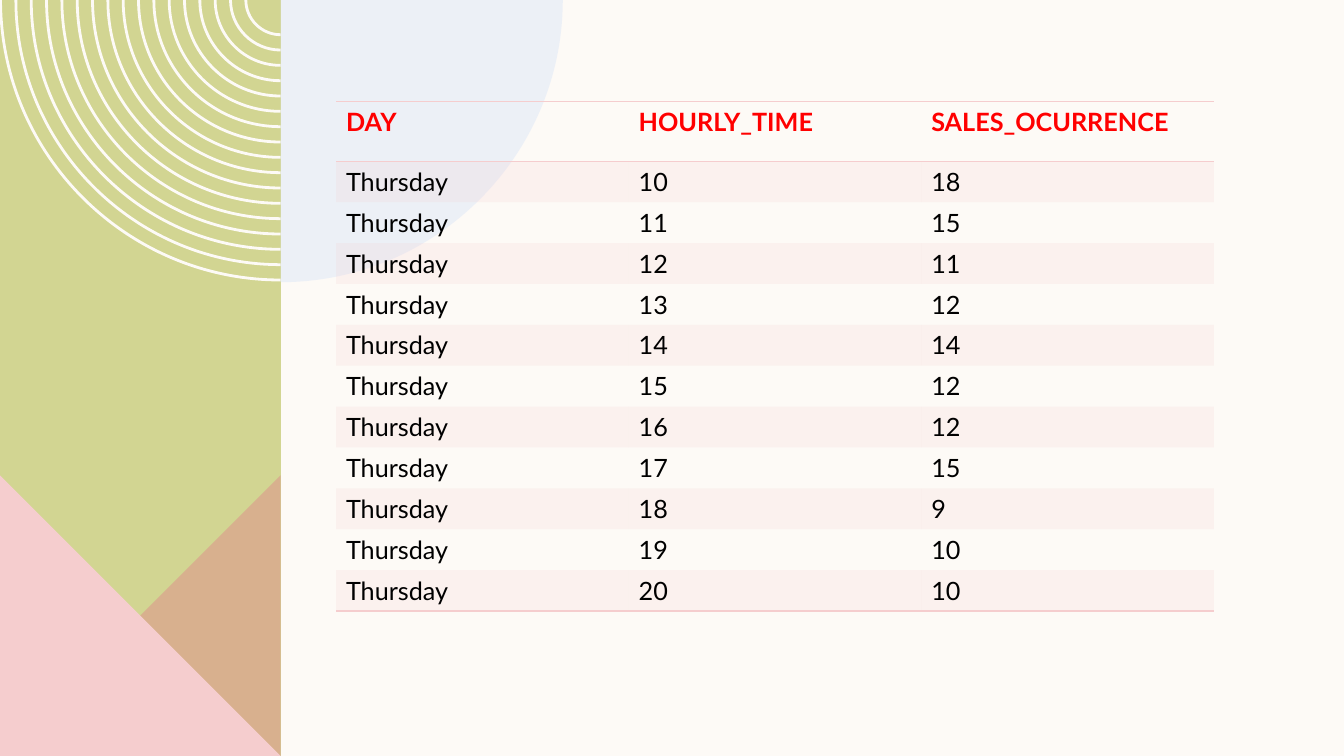
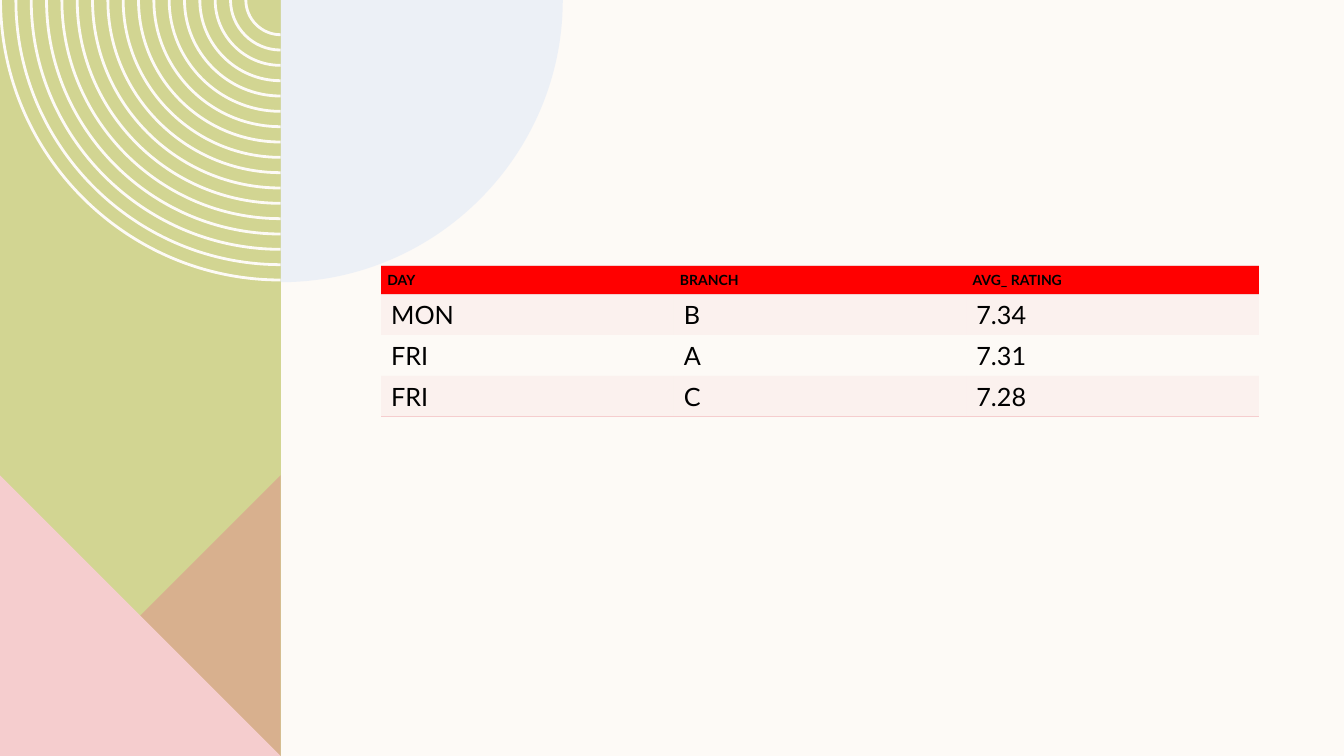
from lxml import etree
from pptx import Presentation
from pptx.dml.color import RGBColor
from pptx.enum import text
from pptx.oxml import ns
from pptx.util import Pt

# Content
HOURLY_SALES = [(10, 18), (11, 15), (12, 11), (13, 12), (14, 14), (15, 12),
                (16, 12), (17, 15), (18, 9), (19, 10), (20, 10)]
TABLES = [
    {
        "header": ("DAY", "HOURLY_TIME", "SALES_OCURRENCE"),
        "rows": [("Thursday", hour, sales) for hour, sales in HOURLY_SALES],
        "left": 240, "top": 72.7, "header_height": 42.5,
        "header_size": 18, "header_color": "red", "header_fill": None,
        "header_anchor": text.MSO_ANCHOR.TOP, "header_margins": (7.2, 3.6),
    },
    {
        "header": ("DAY", "BRANCH", "AVG_ RATING"),
        "rows": [("MON", "B", "7.34"), ("FRI", "A", "7.31"), ("FRI", "C", "7.28")],
        "left": 272.2, "top": 189.5, "header_height": 20.6,
        "header_size": 10, "header_color": "black", "header_fill": "red",
        "header_anchor": text.MSO_ANCHOR.MIDDLE, "header_margins": (4.5, 2.25),
    },
]

# Shared style
COLORS = {"cream": "FDFAF6", "green": "D2D592", "rose": "DE8C8C", "pink": "F5CDCE",
          "blue": "DDE7F6", "red": "FF0000", "black": "000000"}
FONT = "Lato"
NO_TABLE_STYLE = "{2D5ABB26-0587-4C30-8999-92F81FD0307C}"
SLIDE_WIDTH, SLIDE_HEIGHT = 960, 540
PANEL_WIDTH = 200.4
TRIANGLE_TOP = 339.5
DISC_RADIUS = 201.6
RING_COUNT, RING_RADIUS, RING_STEP, RING_WIDTH = 17, 201, 10.95, 2
QUARTER_ARC = 0.55  # handle length of a quarter circle, as a share of its radius
COLUMN_WIDTH, ROW_HEIGHT, BODY_SIZE = 209, 29.2, 18


def set_fill(fill, color, opacity=100):
    fill.solid()
    fill.fore_color.rgb = RGBColor.from_string(COLORS[color])
    if opacity < 100:
        srgb = fill._xPr.find(ns.qn("a:solidFill"))[0]
        etree.SubElement(srgb, ns.qn("a:alpha"), val=str(opacity * 1000))


def bend(shape, point_count, curved):
    """Turn the sides that end at the curved points into quarter circles."""
    drawing = shape.element.find(".//" + ns.qn("a:path"))
    nodes = [node for node in drawing if len(node)]
    ends = [(int(node[0].get("x")), int(node[0].get("y"))) for node in nodes]
    for index, node in enumerate(nodes):
        if index % point_count not in curved:
            continue
        start, end = ends[index - 1], ends[index]
        upper, lower = sorted((start, end), key=lambda point: point[1])
        center = (lower[0], upper[1])
        handles = [tuple(round(near[axis] + QUARTER_ARC * (far[axis] - center[axis]))
                         for axis in (0, 1))
                   for near, far in ((start, end), (end, start))]
        curve = etree.Element(ns.qn("a:cubicBezTo"))
        for x, y in handles + [end]:
            etree.SubElement(curve, ns.qn("a:pt"), x=str(x), y=str(y))
        drawing.replace(node, curve)


def add_outline(slide, layout, contours, color, opacity=100, curved=()):
    """Draw closed contours as one shape and place it on the layout."""
    contours = [[(Pt(x), Pt(y)) for x, y in contour] for contour in contours]
    builder = slide.shapes.build_freeform(*contours[0][0], scale=1.0)
    for index, contour in enumerate(contours):
        if index:
            builder.move_to(*contour[0])
        builder.add_line_segments(contour[1:], close=True)
    shape = builder.convert_to_shape()
    bend(shape, len(contours[0]), curved)
    shape.shadow.inherit = False
    shape.line.fill.background()
    set_fill(shape.fill, color, opacity)
    layout.shapes.element.append(shape.element)


def ring(outer):
    inner = outer - RING_WIDTH
    return [(PANEL_WIDTH, outer), (PANEL_WIDTH - outer, 0),
            (PANEL_WIDTH - inner, 0), (PANEL_WIDTH, inner)]


def decorate(slide, layout):
    right, bottom = PANEL_WIDTH, SLIDE_HEIGHT
    rings = [ring(RING_RADIUS - index * RING_STEP) for index in range(RING_COUNT)]
    disc = [(right, 0), (right + DISC_RADIUS, 0), (right, DISC_RADIUS)]
    panel = [(0, 0), (right, 0), (right, bottom), (0, bottom)]
    right_triangle = [(right, TRIANGLE_TOP), (right, bottom), (0, bottom)]
    left_triangle = [(0, TRIANGLE_TOP), (right, bottom), (0, bottom)]
    add_outline(slide, layout, [panel], "green")
    add_outline(slide, layout, rings, "cream", curved=(1, 3))
    add_outline(slide, layout, [right_triangle], "rose", 50)
    add_outline(slide, layout, [left_triangle], "pink")
    add_outline(slide, layout, [disc], "blue", 50, curved=(2,))


def add_borders(cell, sides):
    properties = cell._tc.get_or_add_tcPr()
    for index, side in enumerate(sides):
        line = etree.Element(ns.qn("a:ln" + side), w=str(Pt(1)))
        solid = etree.SubElement(line, ns.qn("a:solidFill"))
        etree.SubElement(solid, ns.qn("a:srgbClr"), val=COLORS["pink"])
        properties.insert(index, line)


def format_cell(cell, value, size, color="black", bold=False):
    cell.text_frame.text = str(value)
    font = cell.text_frame.paragraphs[0].runs[0].font
    font.name, font.size, font.bold = FONT, Pt(size), bold
    font.color.rgb = RGBColor.from_string(COLORS[color])


def add_data_table(slide, data):
    rows = [data["header"]] + data["rows"]
    columns = len(data["header"])
    height = data["header_height"] + ROW_HEIGHT * len(data["rows"])
    table = slide.shapes.add_table(len(rows), columns, Pt(data["left"]), Pt(data["top"]),
                                   Pt(COLUMN_WIDTH * columns), Pt(height)).table
    table._tbl.tblPr.find(ns.qn("a:tableStyleId")).text = NO_TABLE_STYLE
    for column in table.columns:
        column.width = Pt(COLUMN_WIDTH)

    for row_index, values in enumerate(rows):
        is_header = row_index == 0
        table.rows[row_index].height = Pt(data["header_height"] if is_header else ROW_HEIGHT)
        for column_index, value in enumerate(values):
            cell = table.cell(row_index, column_index)
            cell.fill.background()
            if is_header:
                format_cell(cell, value, data["header_size"], data["header_color"], True)
                cell.vertical_anchor = data["header_anchor"]
                side_margin, end_margin = data["header_margins"]
                cell.margin_left = cell.margin_right = Pt(side_margin)
                cell.margin_top = cell.margin_bottom = Pt(end_margin)
                if data["header_fill"]:
                    set_fill(cell.fill, data["header_fill"])
                add_borders(cell, "TB")
            else:
                format_cell(cell, value, BODY_SIZE)
                cell.vertical_anchor = text.MSO_ANCHOR.MIDDLE
                if row_index % 2:
                    set_fill(cell.fill, "pink", 20)
                if row_index == len(rows) - 1:
                    add_borders(cell, "B")


def main():
    presentation = Presentation()
    presentation.slide_width, presentation.slide_height = Pt(SLIDE_WIDTH), Pt(SLIDE_HEIGHT)
    set_fill(presentation.slide_master.background.fill, "cream")

    # Blank layout carries the decoration
    layout = presentation.slide_layouts[6]
    for placeholder in list(layout.placeholders):
        layout.shapes.element.remove(placeholder.element)
    slides = [presentation.slides.add_slide(layout) for _ in TABLES]
    decorate(slides[0], layout)

    # One table per slide
    for slide, data in zip(slides, TABLES):
        add_data_table(slide, data)
    presentation.save("out.pptx")


if __name__ == "__main__":
    main()
